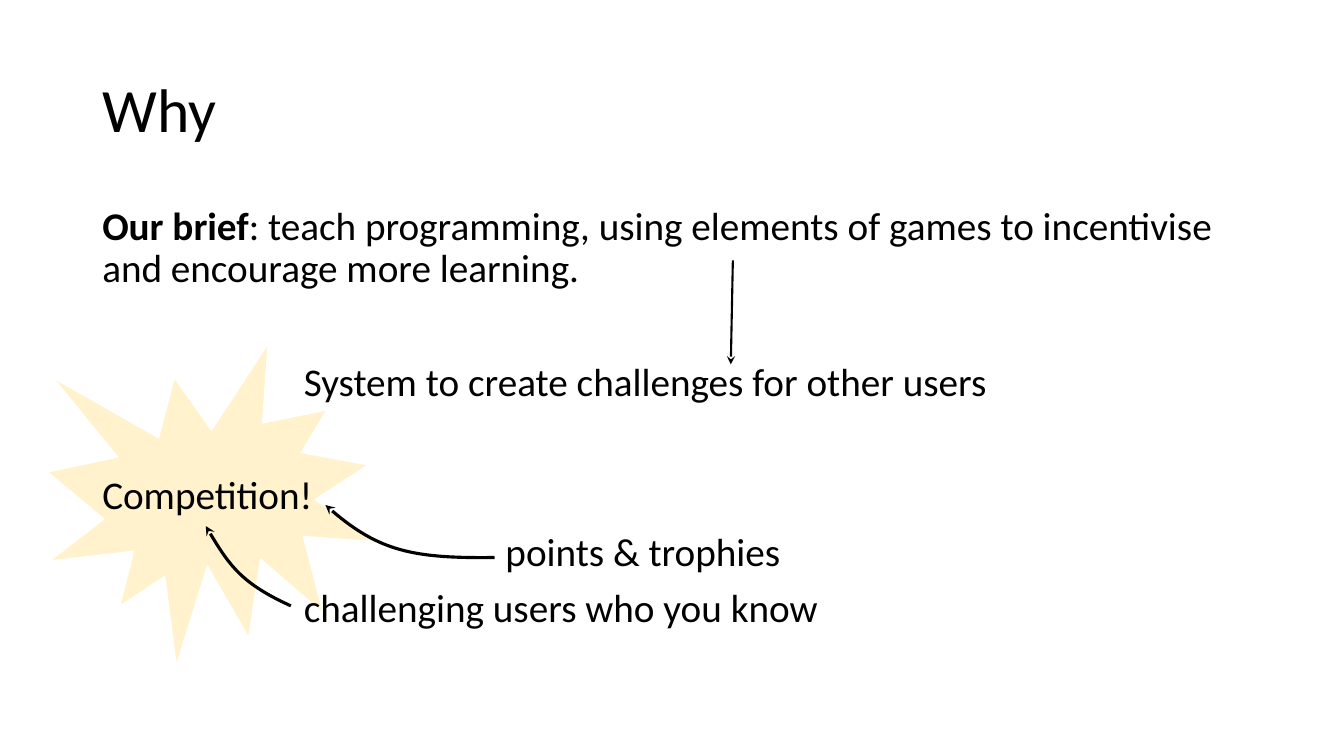
from pptx import Presentation
from pptx.dml.color import RGBColor as Rgb
from pptx.enum.shapes import MSO_CONNECTOR as Link, MSO_SHAPE as Form
from pptx.enum.text import MSO_ANCHOR as Anchor, MSO_AUTO_SIZE as Fit, PP_ALIGN as Align
from pptx.oxml.ns import qn
from pptx.oxml.xmlchemy import OxmlElement as Node
from pptx.util import Pt

PX = 9525  # 96 px to the inch
TAB = 96
INK = {"black": "000000", "white": "FFFFFF", "cream": "FFF2CC"}
FRAME = {"word_wrap": True, "auto_size": Fit.NONE}
PARA = {"alignment": Align.LEFT, "line_spacing": 0.9}


def apply(item, values):
    for name, value in values.items():
        setattr(item, name, value)


class Page:
    font = "Calibri"

    def __init__(self, deck):
        self.slide = deck.slides.add_slide(deck.slide_layouts[5])
        self.shapes = self.slide.shapes

    def px(self, *sizes):
        return [size * PX for size in sizes]

    def stroke(self, shape, color, width, arrow=False):
        shape.line.color.rgb = Rgb.from_string(INK[color])
        shape.line.width = Pt(width)
        if arrow:
            tip = Node("a:tailEnd")
            tip.set("type", "stealth")
            shape.line._get_or_add_ln().append(tip)

    def fill_para(self, para, runs, size, gap=0, tabs=0):
        apply(para, {**PARA, "space_before": Pt(gap)})
        para._p.get_or_add_pPr().set("marL", str(tabs * TAB * PX))
        for text, bold in runs:
            run = para.add_run()
            run.text = text
            apply(run.font, {"name": self.font, "size": Pt(size), "bold": bold})
            run.font.color.rgb = Rgb.from_string(INK["black"])

    def title(self, text, box, size):
        shape = self.shapes.title
        apply(shape, dict(zip(("left", "top", "width", "height"), self.px(*box))))
        frame = shape.text_frame
        apply(frame, {**FRAME, "vertical_anchor": Anchor.MIDDLE})
        self.fill_para(frame.paragraphs[0], [(text, False)], size)

    def body(self, rows, box, size):
        frame = self.shapes.add_textbox(*self.px(*box)).text_frame
        apply(frame, FRAME)
        for i, (runs, gap, tabs) in enumerate(rows):
            para = frame.add_paragraph() if i else frame.paragraphs[0]
            self.fill_para(para, runs, size, gap, tabs)

    def burst(self, box, color):
        shape = self.shapes.add_shape(Form.EXPLOSION1, *self.px(*box))
        shape.shadow.inherit = False
        shape.fill.solid()
        shape.fill.fore_color.rgb = Rgb.from_string(INK[color])
        self.stroke(shape, "white", 1)

    def arrow(self, start, end):
        line = self.shapes.add_connector(Link.STRAIGHT, *self.px(*start, *end))
        self.stroke(line, "black", 1.5, arrow=True)
        line._element.spPr.append(Node("a:effectLst"))

    def curve(self, start, *points):
        pen = self.shapes.build_freeform(*start, scale=PX)
        pen.add_line_segments(points, close=False)
        shape = pen.convert_to_shape()
        shape.shadow.inherit = False
        shape.fill.background()
        self.stroke(shape, "black", 2.25, arrow=True)
        # Turn the three straight legs into one cubic curve
        legs = list(shape._element.iter(qn("a:lnTo")))
        bend = Node("a:cubicBezTo")
        legs[0].addprevious(bend)
        for leg in legs:
            bend.append(leg[0])
            leg.getparent().remove(leg)


def main():
    deck = Presentation()
    apply(deck, {"slide_width": 1280 * PX, "slide_height": 720 * PX})
    page = Page(deck)

    # Burst behind the text
    page.burst((45, 327, 313, 307), "cream")

    # Title and body: runs, gap above in points, indent in tabs
    near, far = 10, 50.8
    brief = [("Our brief", True),
             (": teach programming, using elements of games to incentivise "
              "and encourage more learning.", False)]
    rows = [
        (brief, near, 0),
        ([("System to create challenges for other users", False)], far, 2),
        ([("Competition!", False)], far, 0),
        ([("points & trophies", False)], near, 4),
        ([("challenging users who you know", False)], near, 2),
    ]
    page.title("Why", (88, 38, 1104, 139), 44)
    page.body(rows, (88, 192, 1104, 457), 28)

    # Arrows
    page.curve((277, 577), (231, 556), (217, 537), (196, 501))
    page.curve((471, 531), (393, 532), (358, 524), (310, 481))
    page.arrow((698, 248), (696, 347))

    deck.save("out.pptx")


if __name__ == "__main__":
    main()
